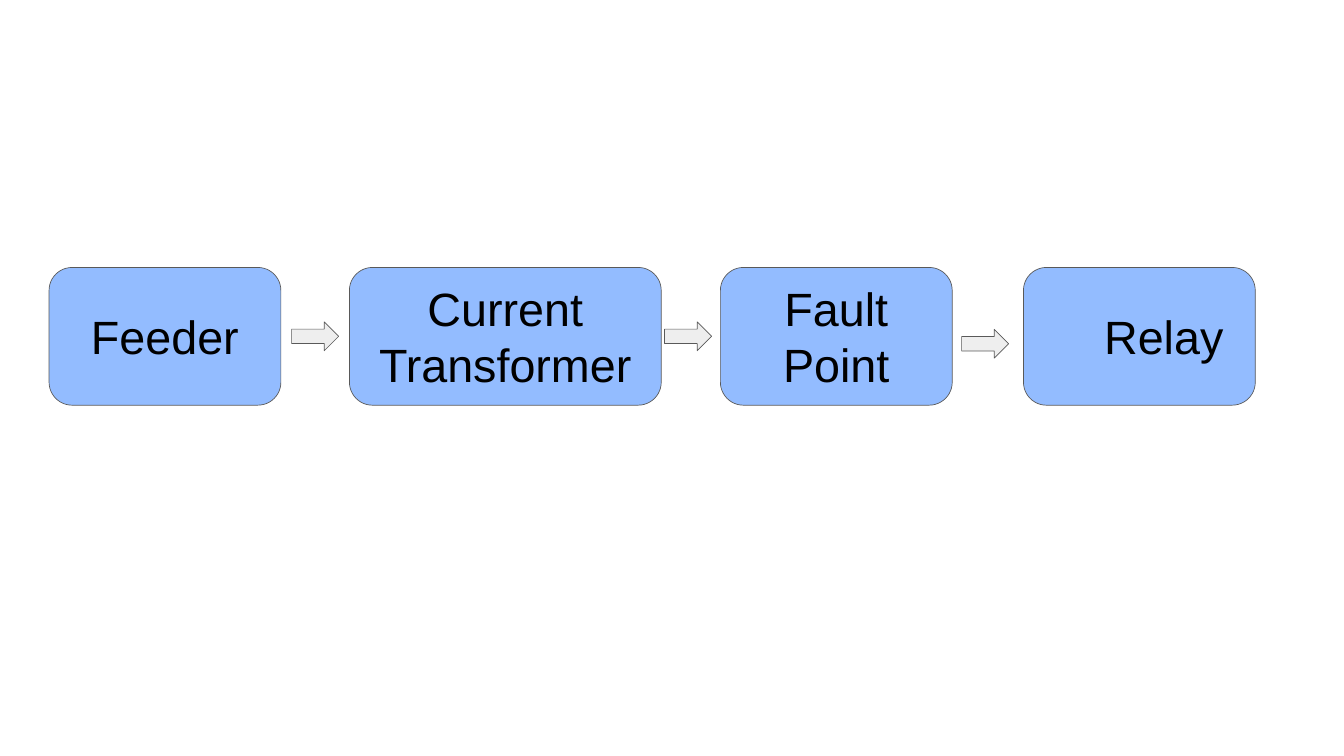
from dataclasses import dataclass

from pptx import Presentation
from pptx.dml.color import RGBColor
from pptx.enum.shapes import MSO_SHAPE
from pptx.enum.text import MSO_ANCHOR, PP_ALIGN
from pptx.shapes.autoshape import Shape
from pptx.slide import Slide
from pptx.util import Inches, Pt

SLIDE_WIDTH = Inches(20)
SLIDE_HEIGHT = Inches(11.25)


@dataclass(frozen=True)
class Theme:
    stage_fill: RGBColor = RGBColor.from_string("93BCFF")
    arrow_fill: RGBColor = RGBColor.from_string("EEEEEE")
    outline: RGBColor = RGBColor.from_string("595959")
    text: RGBColor = RGBColor.from_string("000000")
    font_name: str = "Arial"
    font_size: Pt = Pt(50)
    outline_width: Pt = Pt(0.75)
    padding: Inches = Inches(0.1)
    corner: float = 0.167


@dataclass(frozen=True)
class Area:
    left: float
    top: float
    width: float
    height: float


@dataclass(frozen=True)
class Stage:
    label: str
    left: float
    width: float = 17.25
    alignment: PP_ALIGN = PP_ALIGN.CENTER
    indent: Inches = Inches(0)


@dataclass(frozen=True)
class FlowArrow:
    left: float
    top: float = 42.58


THEME = Theme()
STAGE_TOP, STAGE_HEIGHT = 35.38, 18.22
ARROW_WIDTH, ARROW_HEIGHT = 3.5, 3.82

STAGES = (
    Stage("Feeder", 3.65),
    Stage("Current Transformer", 26, width=23.2),
    Stage("Fault Point", 53.6),
    Stage("Relay", 76.15, alignment=PP_ALIGN.LEFT, indent=Inches(1)),
)
ARROWS = (FlowArrow(21.7), FlowArrow(49.45), FlowArrow(71.55, top=43.56))


def across(percent: float) -> int:
    return round(SLIDE_WIDTH * percent / 100)


def down(percent: float) -> int:
    return round(SLIDE_HEIGHT * percent / 100)


def add_outlined_shape(slide: Slide, kind: MSO_SHAPE, area: Area, fill: RGBColor) -> Shape:
    shape = slide.shapes.add_shape(
        kind, across(area.left), down(area.top), across(area.width), down(area.height)
    )
    shape.shadow.inherit = False
    shape.fill.solid()
    shape.fill.fore_color.rgb = fill
    shape.line.color.rgb = THEME.outline
    shape.line.width = THEME.outline_width
    return shape


def add_stage(slide: Slide, stage: Stage) -> None:
    area = Area(stage.left, STAGE_TOP, stage.width, STAGE_HEIGHT)
    shape = add_outlined_shape(slide, MSO_SHAPE.ROUNDED_RECTANGLE, area, THEME.stage_fill)
    shape.adjustments[0] = THEME.corner
    text_frame = shape.text_frame
    text_frame.word_wrap = True
    text_frame.vertical_anchor = MSO_ANCHOR.MIDDLE
    text_frame.margin_left = THEME.padding + stage.indent
    text_frame.margin_right = THEME.padding
    text_frame.margin_top = text_frame.margin_bottom = THEME.padding
    text_frame.text = stage.label
    paragraph = text_frame.paragraphs[0]
    paragraph.alignment = stage.alignment
    font = paragraph.runs[0].font
    font.name = THEME.font_name
    font.size = THEME.font_size
    font.color.rgb = THEME.text


def add_flow_arrow(slide: Slide, arrow: FlowArrow) -> None:
    area = Area(arrow.left, arrow.top, ARROW_WIDTH, ARROW_HEIGHT)
    add_outlined_shape(slide, MSO_SHAPE.RIGHT_ARROW, area, THEME.arrow_fill)


def main() -> None:
    presentation = Presentation()
    presentation.slide_width = SLIDE_WIDTH
    presentation.slide_height = SLIDE_HEIGHT
    slide = presentation.slides.add_slide(presentation.slide_layouts[6])
    for stage in STAGES:
        add_stage(slide, stage)
    for arrow in ARROWS:
        add_flow_arrow(slide, arrow)
    presentation.save("out.pptx")


if __name__ == "__main__":
    main()
